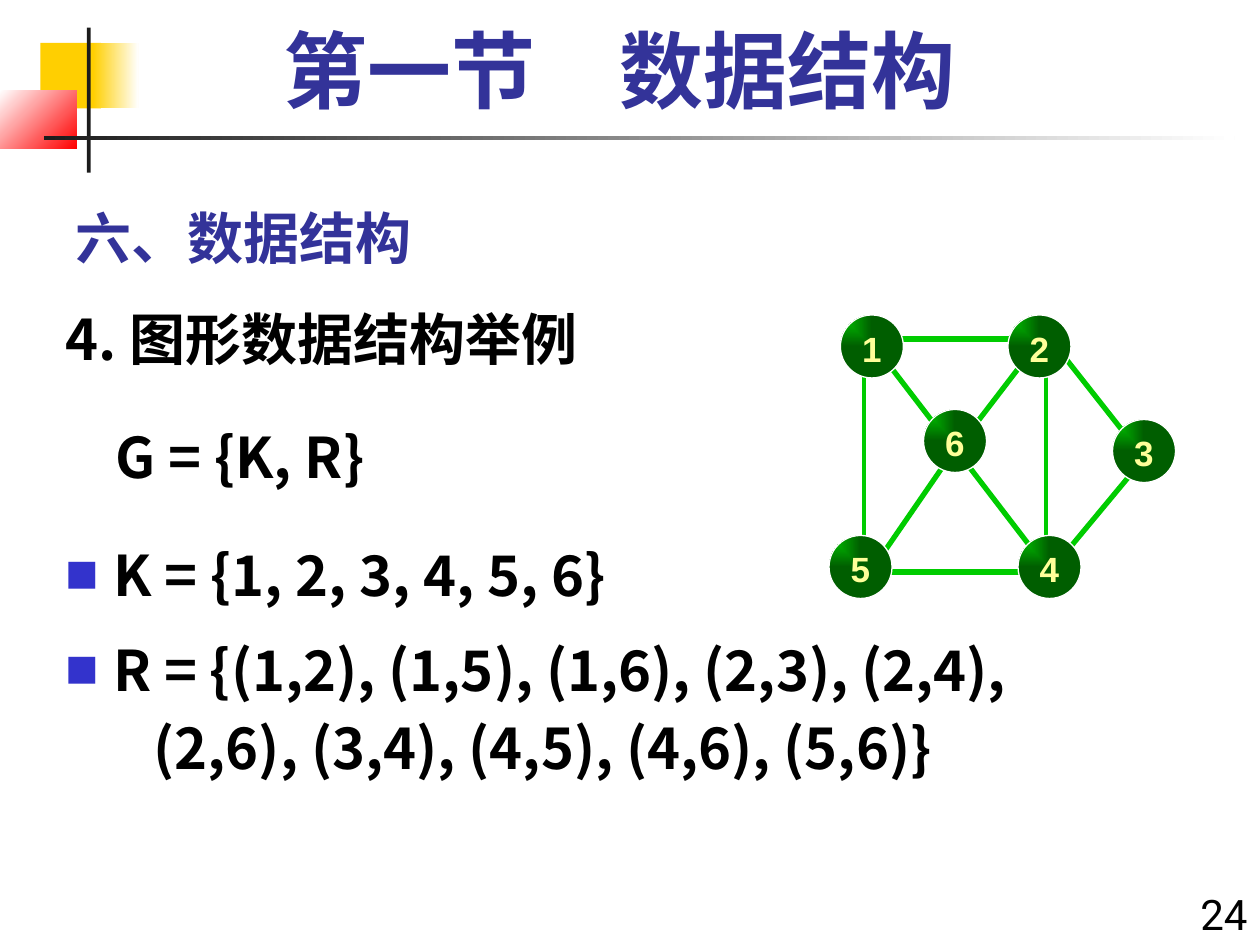
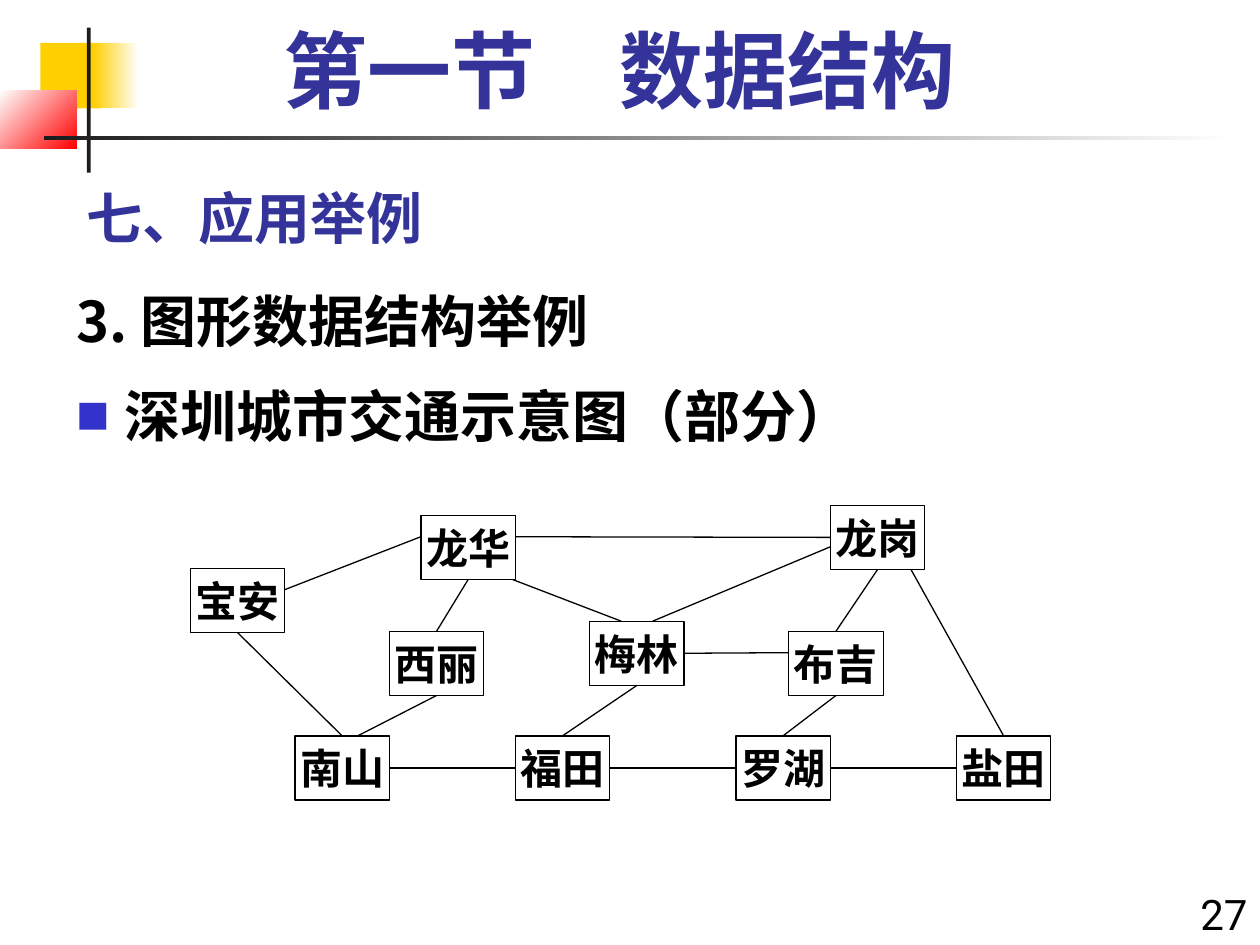
"""Build two slides on graph data structures: a numbered graph and a city traffic map."""
from lxml.etree import SubElement
from pptx import Presentation
from pptx.dml.color import RGBColor
from pptx.enum.shapes import MSO_CONNECTOR, MSO_SHAPE
from pptx.enum.text import MSO_ANCHOR, PP_ALIGN
from pptx.oxml.ns import qn
from pptx.util import Inches, Pt

NAVY, BLACK, WHITE = "333399", "000000", "FFFFFF"
GOLD, RED, DARK, BLUE = "FFCF01", "FF0000", "1C1C1C", "3333CC"
GREEN, DEEP, CREAM = "00CC00", "005E00", "FFFF99"
CJK = "Noto Sans CJK SC"

HEAD = {"name": "Roboto", "size": Pt(48), "bold": True}
BODY = {"name": CJK, "size": Pt(32), "bold": True}
PAGE = {"name": "Roboto", "size": Pt(24), "bold": False}
CITY = {"name": "Roboto", "size": Pt(24), "bold": True}
NODE = {"name": "Arial", "size": Pt(20), "bold": True}

LOW = {"word_wrap": True, "vertical_anchor": MSO_ANCHOR.BOTTOM}
LOWEST = {**LOW, "margin_bottom": 0}
NEAR = {**LOW, "margin_bottom": Inches(0.02)}
TOP = {"word_wrap": True, "margin_top": Inches(0.09)}
MID = {"word_wrap": False, "vertical_anchor": MSO_ANCHOR.MIDDLE,
       "margin_left": 0, "margin_right": 0, "margin_top": 0, "margin_bottom": 0}
DOWN = {**MID, "margin_top": Inches(0.03)}

MIDDLE = {"alignment": PP_ALIGN.CENTER}
RIGHT = {"alignment": PP_ALIGN.RIGHT}
FIRST = {"line_spacing": Pt(38.4)}
NEXT = {**FIRST, "space_before": Pt(16)}
WIDE = {**FIRST, "space_before": Pt(28.8), "space_after": Pt(12.8)}
TIGHT = {**FIRST, "space_before": Pt(6.4)}


def hue(code):
    return RGBColor.from_string(code)


def write(frame, look, face, ink, rows):
    for key, val in look.items():
        setattr(frame, key, val)
    for num, (words, form, left, mark) in enumerate(rows):
        para = frame.add_paragraph() if num else frame.paragraphs[0]
        props = para._p.get_or_add_pPr()
        if left:
            props.set("marL", str(Inches(left)))
            props.set("indent", str(Inches(-left if mark else 0)))
        if mark:
            tint = SubElement(props, qn("a:buClr"))
            SubElement(tint, qn("a:srgbClr"), val=BLUE)
            SubElement(props, qn("a:buSzPct"), val="60000")
            SubElement(props, qn("a:buFont"), typeface=CJK)
            SubElement(props, qn("a:buChar"), char=mark)
        for key, val in form.items():
            setattr(para, key, val)
        run = para.add_run()
        run.text = words
        for key, val in face.items():
            setattr(run.font, key, val)
        run.font.color.rgb = hue(ink)
        SubElement(run._r.rPr, qn("a:ea"), typeface=CJK)


deck = Presentation()
deck.slide_width, deck.slide_height = Inches(10), Inches(7.5)

bands = [
    (0.32, 0.34, 0.48, 0.52, GOLD, GOLD, 0),
    (0.74, 0.34, 0.36, 0.52, GOLD, WHITE, 0),
    (0, 0.72, 0.61, 0.46, WHITE, RED, 315),
    (0.69, 0.22, 0.03, 1.15, DARK, DARK, 0),
    (0.35, 1.08, 9.45, 0.03, DARK, WHITE, 0),
]
pages = [
    ("24", "六、数据结构", (0.5, 1.42), (0.42, 2.33, 9.58, 4.25), [
        ("4. 图形数据结构举例", FIRST, 0, ""),
        ("G = {K, R}", WIDE, 0.4, ""),
        ("K = {1, 2, 3, 4, 5, 6}", NEXT, 0.38, "■"),
        ("R = {(1,2), (1,5), (1,6), (2,3), (2,4),", NEXT, 0.38, "■"),
        ("(2,6), (3,4), (4,5), (4,6), (5,6)}", TIGHT, 0.7, ""),
    ]),
    ("27", "七、应用举例", (0.59, 1.26), (0.51, 2.18, 9.58, 1.75), [
        ("3. 图形数据结构举例", FIRST, 0, ""),
        ("深圳城市交通示意图（部分）", NEXT, 0.38, "■"),
    ]),
]
for page, title, spot, area, rows in pages:
    slide = deck.slides.add_slide(deck.slide_layouts[6])
    for x, y, w, h, start, end, turn in bands:
        band = slide.shapes.add_shape(MSO_SHAPE.RECTANGLE, *map(Inches, (x, y, w, h)))
        band.shadow.inherit = False
        band.line.fill.background()
        if start == end:
            band.fill.solid()
            band.fill.fore_color.rgb = hue(start)
        else:
            band.fill.gradient()
            band.fill.gradient_angle = turn
            for stop, code in zip(band.fill.gradient_stops, (start, end)):
                stop.color.rgb = hue(code)
    texts = [
        ((*spot, 6.75, 0.75), NEAR, BODY, NAVY, [(title, {}, 0, "")]),
        ((9.33, 7, 0.67, 0.5), {"word_wrap": True}, PAGE, BLACK, [(page, RIGHT, 0, "")]),
        (area, TOP, BODY, BLACK, rows),
        ((0.67, -0.03, 8.5, 0.98), LOWEST, HEAD, NAVY, [("第一节　数据结构", MIDDLE, 0, "")]),
    ]
    for place, *rest in texts:
        write(slide.shapes.add_textbox(*map(Inches, place)).text_frame, *rest)

graph, map_ = deck.slides

edges = [
    (8.17, 2.81, 7.71, 3.41, 3), (9.02, 3.71, 8.43, 4.42, 3),
    (7.52, 3.65, 6.99, 4.42, 3), (7.65, 3.65, 8.24, 4.42, 3),
    (6.86, 2.87, 6.86, 4.36, 2.25), (7.06, 4.54, 8.11, 4.54, 3),
    (7.06, 2.69, 8.11, 2.69, 3), (8.43, 2.81, 8.95, 3.47, 3),
    (6.99, 2.81, 7.45, 3.41, 3), (8.3, 2.87, 8.3, 4.36, 2.25),
]
for *ends, width in edges:
    edge = graph.shapes.add_connector(MSO_CONNECTOR.STRAIGHT, *map(Inches, ends))
    edge.line.color.rgb = hue(GREEN)
    edge.line.width = Pt(width)
    SubElement(edge._element.spPr, qn("a:effectLst"))

nodes = [(6.67, 2.5), (8, 2.5), (8.83, 3.33), (8.08, 4.25), (6.58, 4.25), (7.33, 3.25)]
for num, (x, y) in enumerate(nodes, 1):
    node = graph.shapes.add_shape(MSO_SHAPE.OVAL, *map(Inches, (x, y, 0.5, 0.5)))
    node.shadow.inherit = False
    node.line.color.rgb = hue(WHITE)
    node.line.width = Pt(0.75)
    node.fill.gradient()
    for stop, code in zip(node.fill.gradient_stops, (GREEN, DEEP)):
        stop.color.rgb = hue(code)
    blend = node._element.spPr.find(qn("a:gradFill"))
    blend.remove(blend.find(qn("a:lin")))
    glow = SubElement(blend, qn("a:path"), path="rect")
    SubElement(glow, qn("a:fillToRect"), l="0", t="0", r="100000", b="100000")
    write(node.text_frame, DOWN, NODE, CREAM, [(str(num), MIDDLE, 0, "")])

towns = {
    "宝安": (1.51, 4.51), "西丽": (3.09, 5.01), "梅林": (4.68, 4.93),
    "布吉": (6.26, 5.01), "龙华": (3.34, 4.09), "龙岗": (6.59, 4.01),
}
for num, name in enumerate(("南山", "福田", "罗湖", "盐田")):
    towns[name] = (2.34 + 1.75 * num, 5.84)
boxes = {}
for name, (x, y) in towns.items():
    box = map_.shapes.add_shape(MSO_SHAPE.RECTANGLE, *map(Inches, (x, y, 0.75, 0.51)))
    box.shadow.inherit = False
    box.fill.background()
    box.line.color.rgb = hue(BLACK)
    box.line.width = Pt(0.75)
    write(box.text_frame, MID, CITY, BLACK, [(name, MIDDLE, 0, "")])
    boxes[name] = box

roads = [
    (("南山", 3), ("福田", 1)), (("福田", 3), ("罗湖", 1)), (("罗湖", 3), ("盐田", 1)),
    (("南山", 0), ("宝安", 2)), ((2.26, 4.68), (3.34, 4.26)), ((4.09, 4.26), ("龙岗", 1)),
    (("福田", 0), ("梅林", 2)), ((5.18, 4.93), (6.59, 4.34)), (("龙岗", 2), ("布吉", 0)),
    (("布吉", 2), ("罗湖", 0)), ((7.23, 4.52), ("盐田", 0)), (("梅林", 3), (6.26, 5.18)),
    ((2.84, 5.84), ("西丽", 2)), (("西丽", 0), ("龙华", 2)), ((4.07, 4.6), (4.93, 4.93)),
]
for ends in roads:
    spots = [towns[a] if a in towns else (a, b) for a, b in ends]
    road = map_.shapes.add_connector(MSO_CONNECTOR.STRAIGHT, *map(Inches, spots[0] + spots[1]))
    for join, (name, side) in zip((road.begin_connect, road.end_connect), ends):
        if name in boxes:
            join(boxes[name], side)
    road.line.color.rgb = hue(BLACK)
    road.line.width = Pt(0.75)
    SubElement(road._element.spPr, qn("a:effectLst"))

deck.save("out.pptx")
